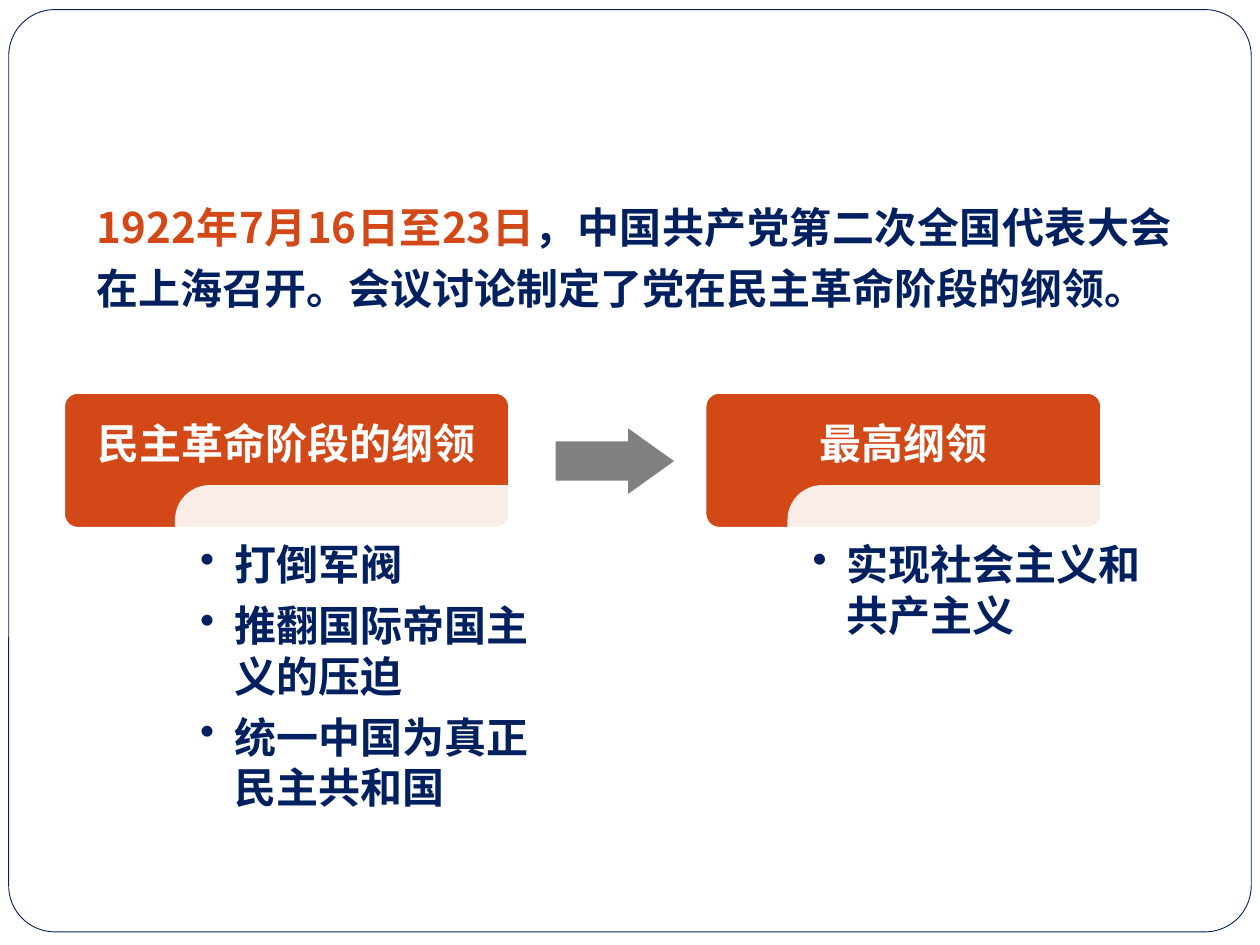
from pptx import Presentation
from pptx.dml.color import RGBColor
from pptx.enum.shapes import MSO_SHAPE
from pptx.enum.text import MSO_ANCHOR, PP_ALIGN
from pptx.oxml.ns import qn
from pptx.util import Pt
from lxml.etree import SubElement

NAVY = RGBColor(0x00, 0x20, 0x60)
ORANGE = RGBColor(0xD3, 0x48, 0x17)
GREY = RGBColor(0x80, 0x80, 0x80)
WHITE = RGBColor(0xFF, 0xFF, 0xFF)


def add_block(kind, left, top, width, height, fill, line=None, weight=1):
    block = page.shapes.add_shape(kind, Pt(left), Pt(top), Pt(width), Pt(height))
    block.shadow.inherit = False
    block.fill.solid()
    block.fill.fore_color.rgb = fill
    if line is None:
        block.line.fill.background()
    else:
        block.line.color.rgb = line
        block.line.width = Pt(weight)
    return block


def set_frame(block, left, top, right, bottom):
    frame = block.text_frame
    frame.word_wrap = True
    frame.vertical_anchor = MSO_ANCHOR.TOP
    frame.margin_left, frame.margin_top = Pt(left), Pt(top)
    frame.margin_right, frame.margin_bottom = Pt(right), Pt(bottom)
    return frame


deck = Presentation()
deck.slide_width, deck.slide_height = Pt(720), Pt(540)
page = deck.slides.add_slide(deck.slide_layouts[6])

border = add_block(MSO_SHAPE.ROUNDED_RECTANGLE, 5, 5.5, 710, 527, WHITE, NAVY, 0.5)
border.adjustments[0] = 0.05

intro = page.shapes.add_textbox(Pt(48.3), Pt(106), Pt(628.5), Pt(75.6))
para = set_frame(intro, 7.2, 3.6, 7.2, 3.6).paragraphs[0]
para.alignment = PP_ALIGN.JUSTIFY
para.line_spacing = 1.2
para.font.name = "Noto Sans CJK JP"
para.font.size = Pt(24)
para.font.bold = True
for text, color in (
    ("1922年7月16日至23日", ORANGE),
    ("，中国共产党第二次全国代表大会在上海召开。会议讨论制定了党在民主革命阶段的纲领。", NAVY),
):
    span = para.add_run()
    span.text = text
    span.font.color.rgb = color

programmes = (
    ("民主革命阶段的纲领", 36.7, 254.2, 100,
     ("打倒军阀", "推翻国际帝国主义的压迫", "统一中国为真正民主共和国")),
    ("最高纲领", 403.2, 226, 450, ("实现社会主义和共产主义",)),
)
for title, left, width, panel_left, goals in programmes:
    header = add_block(MSO_SHAPE.ROUNDED_RECTANGLE, left, 224.6, width, 77, ORANGE, WHITE)
    header.adjustments[0] = 0.1
    para = set_frame(header, 6.5, 15, 6.5, 28).paragraphs[0]
    para.text = title
    para.alignment = PP_ALIGN.CENTER
    para.line_spacing = 0.9
    para.font.name = "Times New Roman"
    para.font.size = Pt(24)
    para.font.bold = True
    para.font.color.rgb = WHITE

    panel = add_block(MSO_SHAPE.ROUNDED_RECTANGLE, panel_left, 277.2, 211, 198.7, WHITE)
    panel.adjustments[0] = 0.1
    color_element = panel.fill._xPr.find(qn("a:solidFill"))[0]
    SubElement(color_element, qn("a:alpha"), val="90000")
    frame = set_frame(panel, 8.6, 25, 1, 11)
    for index, goal in enumerate(goals):
        para = frame.add_paragraph() if index else frame.paragraphs[0]
        para.text = goal
        para.level = 1
        para.alignment = PP_ALIGN.LEFT
        para.space_after = Pt(6)
        properties = para._p.get_or_add_pPr()
        properties.set("marL", str(Pt(19.4)))
        properties.set("indent", str(-Pt(19.4)))
        SubElement(properties, qn("a:buChar"), char="•")
        para.font.name = "Times New Roman"
        para.font.size = Pt(24)
        para.font.bold = True
        para.font.color.rgb = NAVY

arrow = add_block(MSO_SHAPE.RIGHT_ARROW, 317.5, 244.8, 67.7, 37.4, GREY)
arrow.adjustments[0] = 0.6
arrow.adjustments[1] = 0.7

deck.save("out.pptx")
